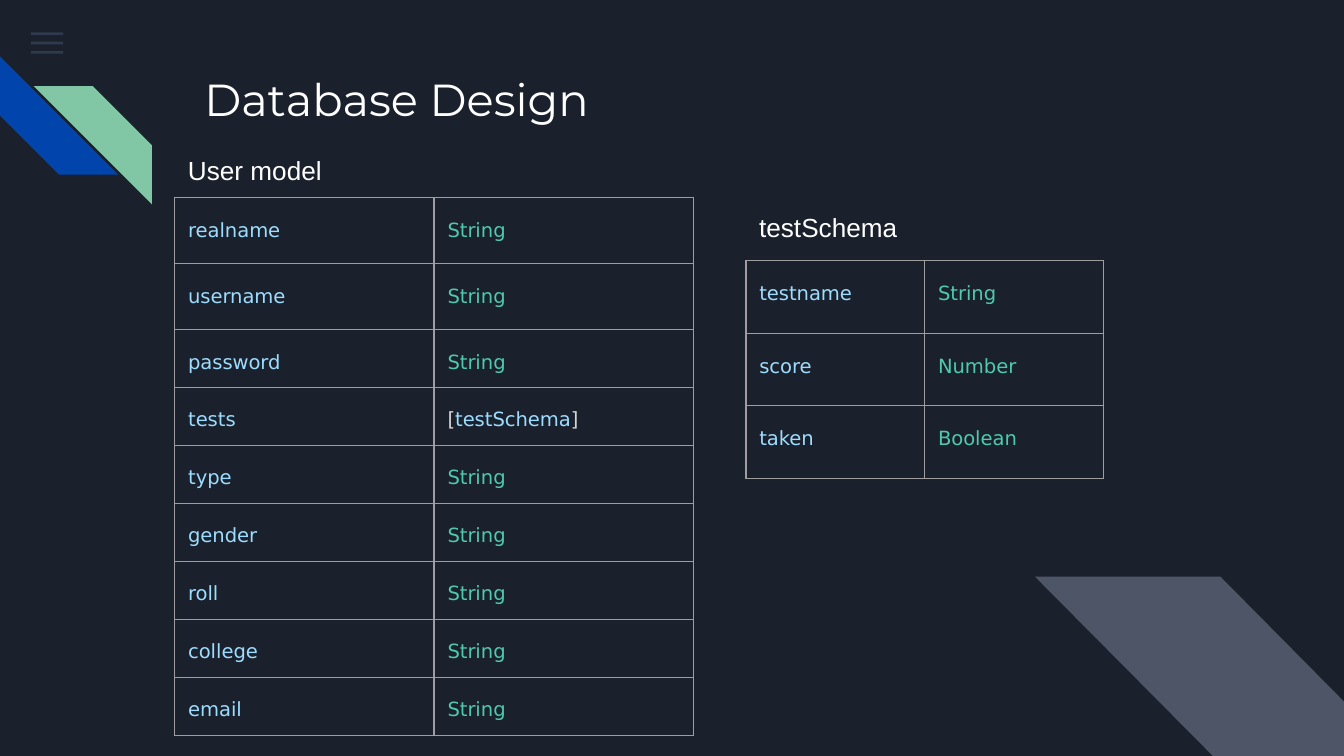
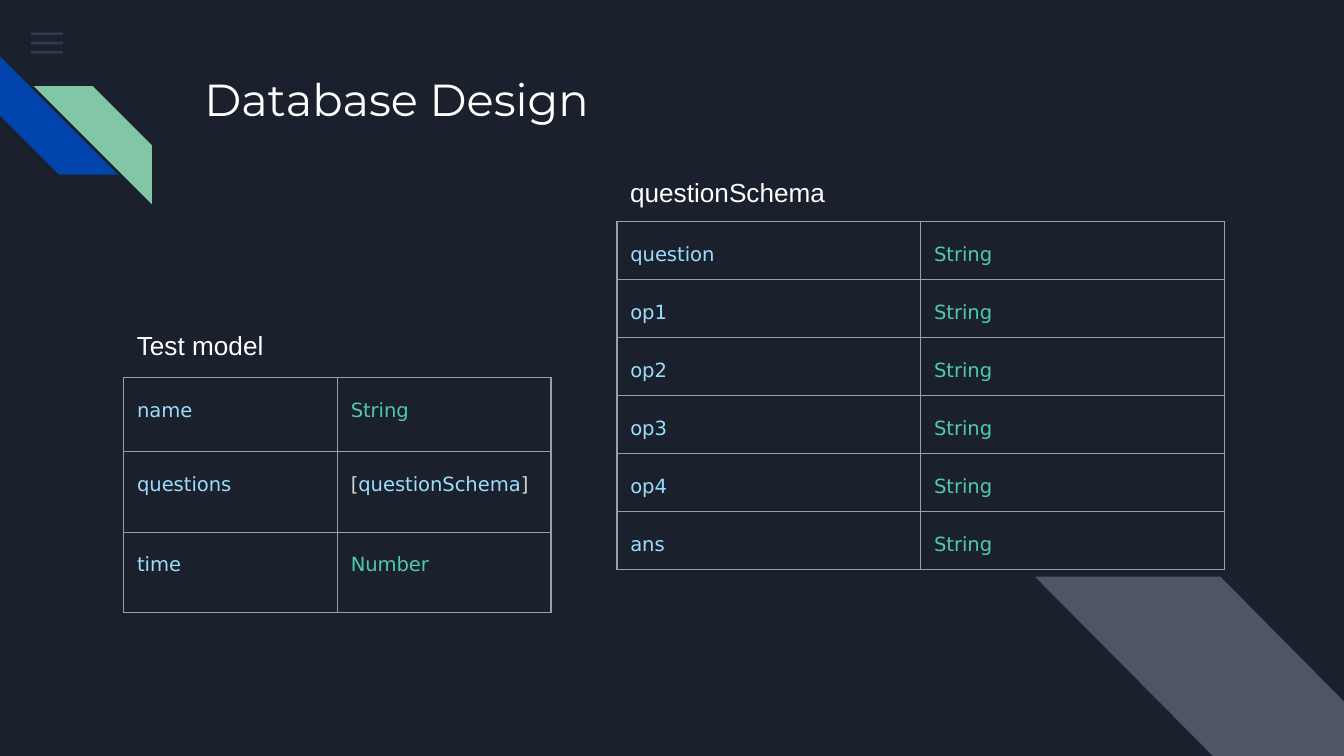
from lxml.etree import SubElement
from pptx import Presentation
from pptx.dml.color import RGBColor
from pptx.enum.shapes import MSO_SHAPE
from pptx.enum.text import MSO_ANCHOR, MSO_AUTO_SIZE, PP_ALIGN
from pptx.oxml.ns import qn
from pptx.util import Inches, Pt

COLORS = {
    "background": "1B212C",
    "menu": "55688B",
    "blue": "0145AC",
    "green": "82C7A5",
    "corner": "4E5567",
    "white": "FFFFFF",
    "border": "9E9E9E",
    "field": "9CDCFE",
    "type": "4EC9B0",
    "bracket": "D4D4D4",
}
TITLE = "Database Design"
FRAME_SIZE = 3.28
CORNER = [(7.7, 4.29), (9.08, 4.29), (10, 5.22), (10, 5.63), (9.03, 5.63)]

SLIDES = [
    [
        {
            "label": "User model",
            "label_box": (1.3, 1.05, 3.09, 0.95),
            "at": (1.3, 1.47),
            "col_width": 1.93,
            "row_heights": [0.49] * 2 + [0.42] * 7,
            "fields": [
                ("realname", "String"),
                ("username", "String"),
                ("password", "String"),
                ("tests", "[testSchema]"),
                ("type", "String"),
                ("gender", "String"),
                ("roll", "String"),
                ("college", "String"),
                ("email", "String"),
            ],
        },
        {
            "label": "testSchema",
            "label_box": (5.55, 1.47, 2.66, 0.88),
            "at": (5.55, 1.94),
            "col_width": 1.33,
            "row_heights": [0.54] * 3,
            "fields": [
                ("testname", "String"),
                ("score", "Number"),
                ("taken", "Boolean"),
            ],
        },
    ],
    [
        {
            "label": "Test model",
            "label_box": (0.92, 2.35, 2.36, 0.92),
            "at": (0.92, 2.81),
            "col_width": 1.59,
            "row_heights": [0.55, 0.6, 0.6],
            "fields": [
                ("name", "String"),
                ("questions", "[questionSchema]"),
                ("time", "Number"),
            ],
        },
        {
            "label": "questionSchema",
            "label_box": (4.59, 1.21, 2.17, 0.6),
            "at": (4.59, 1.65),
            "col_width": 2.26,
            "row_heights": [0.39] * 6,
            "fields": [
                ("question", "String"),
                ("op1", "String"),
                ("op2", "String"),
                ("op3", "String"),
                ("op4", "String"),
                ("ans", "String"),
            ],
        },
    ],
]


def rgb(name):
    return RGBColor.from_string(COLORS[name])


def style_font(font, size, face, color):
    font.size = Pt(size)
    font.name = face
    font.color.rgb = rgb(color)


def set_margins(item):
    item.margin_left = item.margin_right = Inches(0.1)
    item.margin_top = item.margin_bottom = Inches(0.1)


def paint(sp, color):
    sp.shadow.inherit = False
    sp.fill.solid()
    sp.fill.fore_color.rgb = rgb(color)
    sp.line.fill.background()


def add_block(s, preset, box, color):
    sp = s.shapes.add_shape(preset, *map(Inches, box))
    paint(sp, color)
    return sp


def add_decoration(s):
    for i in range(3):
        bar = add_block(s, MSO_SHAPE.RECTANGLE, (0.23, 0.24 + 0.07 * i, 0.24, 0.02), "menu")
        clr = bar._element.spPr.find(qn("a:solidFill"))[0]
        SubElement(clr, qn("a:alpha"), val="36000")
    stripe = add_block(s, MSO_SHAPE.DIAGONAL_STRIPE, (0, 0.42, 0.88, 0.88), "blue")
    stripe.rotation = 270
    stripe = add_block(s, MSO_SHAPE.DIAGONAL_STRIPE, (0.25, 0.64, 0.88, 0.88), "green")
    stripe._element.spPr.find(qn("a:xfrm")).set("flipH", "1")
    points = [(Inches(x), Inches(y)) for x, y in CORNER]
    builder = s.shapes.build_freeform(*points[0])
    builder.add_line_segments(points[1:], close=True)
    paint(builder.convert_to_shape(), "corner")


def set_title(s):
    sp = s.shapes.title
    sp.left, sp.top, sp.width, sp.height = map(Inches, (1.42, 0.43, 4.15, 1.63))
    tf = sp.text_frame
    tf.text = TITLE
    tf.word_wrap = True
    tf.auto_size = MSO_AUTO_SIZE.NONE
    tf.vertical_anchor = MSO_ANCHOR.TOP
    set_margins(tf)
    p = tf.paragraphs[0]
    p.alignment = PP_ALIGN.LEFT
    style_font(p.runs[0].font, 24, "Montserrat", "white")


def add_label(s, text, box):
    tf = s.shapes.add_textbox(*map(Inches, box)).text_frame
    tf.text = text
    tf.word_wrap = True
    set_margins(tf)
    style_font(tf.paragraphs[0].runs[0].font, 14, "Arial", "white")


def type_parts(text):
    if text.startswith("["):
        return [("[", "bracket"), (text[1:-1], "field"), ("]", "bracket")]
    return [(text, "type")]


def fill_cell(cell, parts):
    set_margins(cell)
    p = cell.text_frame.paragraphs[0]
    p.line_spacing = 1.36
    for text, color in parts:
        r = p.add_run()
        r.text = text
        style_font(r.font, 10.5, "DejaVu Sans", color)
    tcPr = cell._tc.get_or_add_tcPr()
    for side in ("lnL", "lnR", "lnT", "lnB"):
        ln = SubElement(tcPr, qn("a:" + side), w=str(Pt(0.75)))
        fill = SubElement(ln, qn("a:solidFill"))
        SubElement(fill, qn("a:srgbClr"), val=COLORS["border"])
    cell.fill.background()


def add_model(s, model):
    fields = model["fields"]
    box = (*model["at"], FRAME_SIZE, FRAME_SIZE)
    frame = s.shapes.add_table(len(fields), 2, *map(Inches, box))
    table = frame.table
    table.first_row = table.horz_banding = False
    for col in table.columns:
        col.width = Inches(model["col_width"])
    for row, height in zip(table.rows, model["row_heights"]):
        row.height = Inches(height)
    frame.width = frame.height = Inches(FRAME_SIZE)
    for i, (name, kind) in enumerate(fields):
        fill_cell(table.cell(i, 0), [(name, "field")])
        fill_cell(table.cell(i, 1), type_parts(kind))


def main():
    prs = Presentation()
    prs.slide_width = Inches(10)
    prs.slide_height = prs.slide_width * 9 // 16
    bg = prs.slide_master.background.fill
    bg.solid()
    bg.fore_color.rgb = rgb("background")
    for models in SLIDES:
        s = prs.slides.add_slide(prs.slide_layouts[5])
        add_decoration(s)
        set_title(s)
        for model in models:
            add_model(s, model)
        for model in models:
            add_label(s, model["label"], model["label_box"])
    prs.save("out.pptx")


if __name__ == "__main__":
    main()
